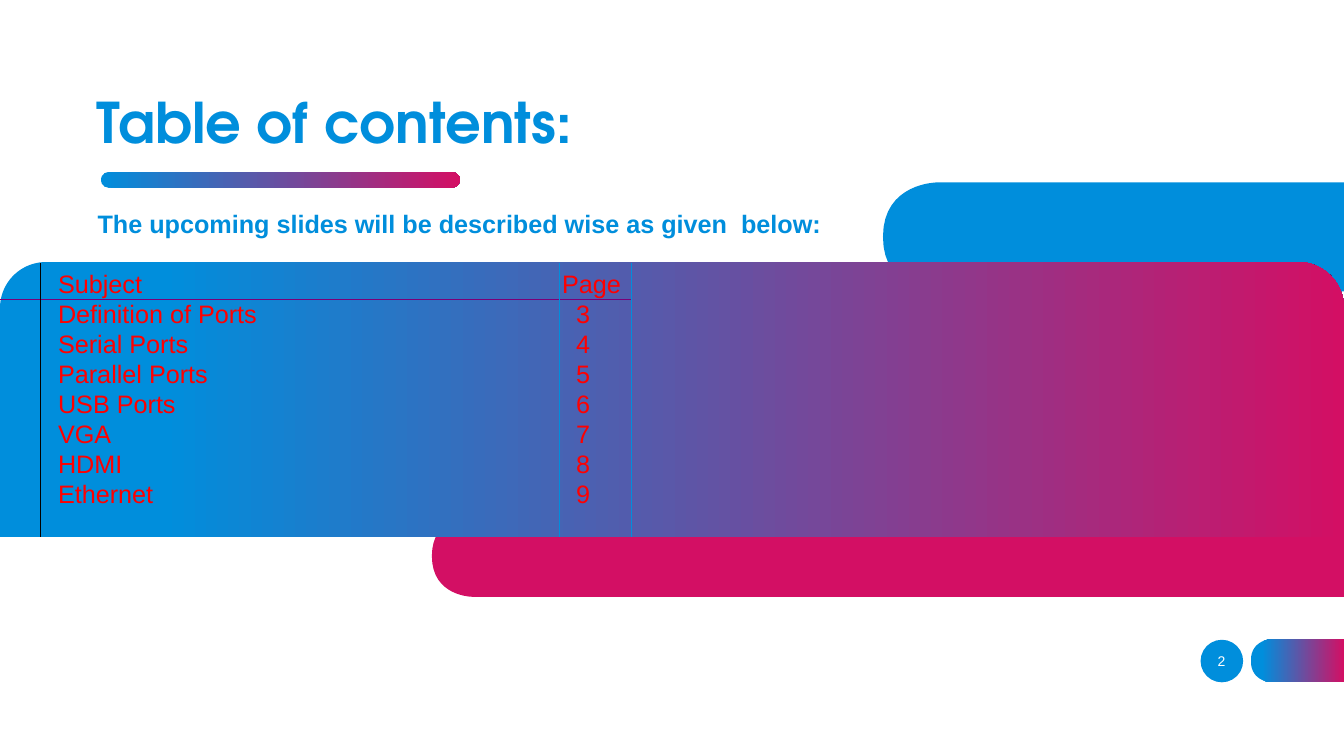
from lxml.etree import SubElement
from pptx import Presentation
from pptx.dml.color import RGBColor
from pptx.enum.shapes import MSO_CONNECTOR, MSO_SHAPE
from pptx.enum.text import MSO_ANCHOR, PP_ALIGN
from pptx.oxml.ns import qn
from pptx.util import Pt

BLUE = RGBColor(0x00, 0x8E, 0xDC)
PINK = RGBColor(0xD3, 0x0F, 0x64)
PURPLE = RGBColor(0x7A, 0x00, 0x78)
RED = RGBColor(0xFF, 0x00, 0x00)
BLACK = RGBColor(0x00, 0x00, 0x00)
WHITE = RGBColor(0xFF, 0xFF, 0xFF)

WIDTH, HEIGHT = 960, 540
BAND_TOP, BAND_HEIGHT = 187.2, 196.6
CURVE_STEPS = 16

CONTENTS = ["Definition of Ports", "Serial Ports", "Parallel Ports",
            "USB Ports", "VGA", "HDMI", "Ethernet"]
FIRST_PAGE = 3


class SlideBuilder:
    def __init__(self, slide, font="Arial"):
        self.slide = slide
        self.shapes = slide.shapes
        self.font = font

    def paint(self, s, color=None, start=0):
        """Fill with a colour, or with the blue-to-pink gradient from start."""
        s.shadow.inherit = False
        s.line.fill.background()
        if color is not None:
            s.fill.solid()
            s.fill.fore_color.rgb = color
            return s
        s.fill.gradient()
        s.fill.gradient_angle = 0
        stops = s.fill.gradient_stops
        for stop, rgb, position in zip(stops, (BLUE, PINK), (start, 1)):
            stop.color.rgb = rgb
            stop.position = position
        return s

    def shape(self, kind, x, y, w, h, color=None, start=0):
        s = self.shapes.add_shape(kind, Pt(x), Pt(y), Pt(w), Pt(h))
        return self.paint(s, color, start)

    def tab(self, x, y, h, color=None, start=0):
        """Draw a shape with a round left end that runs to the right edge."""
        r = h / 2
        steps = [i / CURVE_STEPS for i in range(CURVE_STEPS + 1)]
        curve = [(r * (1 - t) ** 2 * (1 + 2 * t), r * t ** 3) for t in steps]
        left = curve + [(dx, h - dy) for dx, dy in reversed(curve)]
        outline = [(Pt(x + dx), Pt(y + dy)) for dx, dy in left]
        outline += [(Pt(WIDTH), Pt(y + h))]
        builder = self.shapes.build_freeform(Pt(WIDTH), Pt(y))
        builder.add_line_segments(outline, close=True)
        return self.paint(builder.convert_to_shape(), color, start)

    def line(self, x1, y1, x2, y2, color):
        s = self.shapes.add_connector(
            MSO_CONNECTOR.STRAIGHT, Pt(x1), Pt(y1), Pt(x2), Pt(y2))
        s.line.color.rgb = color
        s.line.width = Pt(0.5)
        SubElement(s._element.spPr, qn("a:effectLst"))

    def text(self, x, y, w, h, lines, size, color, bold=False, font=None,
             align=PP_ALIGN.LEFT, anchor=MSO_ANCHOR.TOP, spacing=None,
             tab_stops=None):
        """Write one paragraph per line, with an optional tab stop for each."""
        tf = self.shapes.add_textbox(Pt(x), Pt(y), Pt(w), Pt(h)).text_frame
        tf.word_wrap = True
        tf.vertical_anchor = anchor
        for i, line in enumerate(lines):
            p = tf.add_paragraph() if i else tf.paragraphs[0]
            p.text = line
            p.alignment = align
            p.line_spacing = spacing
            if tab_stops:
                tabs = SubElement(p._p.get_or_add_pPr(), qn("a:tabLst"))
                SubElement(tabs, qn("a:tab"), pos=str(Pt(tab_stops[i])), algn="l")
            p.font.name = font or self.font
            p.font.size = Pt(size)
            p.font.bold = bold
            p.font.color.rgb = color


def main():
    prs = Presentation()
    prs.slide_width, prs.slide_height = Pt(WIDTH), Pt(HEIGHT)
    b = SlideBuilder(prs.slides.add_slide(prs.slide_layouts[6]))

    b.shape(MSO_SHAPE.OVAL, 857.6, 457, 30.4, 30.4, BLUE)
    b.tab(893.5, 456.5, 31, start=0.12)
    b.tab(630.7, 130.3, 77.8, BLUE)
    underline = b.shape(MSO_SHAPE.ROUNDED_RECTANGLE, 72, 123, 256.5, 11)
    underline.adjustments[0] = 0.5
    b.tab(308.5, 368, 58.3, PINK)

    b.text(62, 62.6, 720, 52, ["Table of contents:"], 40, BLUE, bold=True,
           font="TeX Gyre Adventor", anchor=MSO_ANCHOR.BOTTOM, spacing=0.9)
    b.text(62.6, 147.6, 538.6, 39,
           ["The upcoming slides will be described wise as given  below:"],
           18, BLUE, bold=True, spacing=0.9)
    b.text(851, 458, 43.2, 28.8, ["2"], 10, WHITE,
           align=PP_ALIGN.CENTER, anchor=MSO_ANCHOR.MIDDLE)

    b.shape(MSO_SHAPE.ROUND_2_SAME_RECTANGLE, 0, BAND_TOP, WIDTH, BAND_HEIGHT,
            start=0.12)
    rows = [f"{subject}\t{page}"
            for page, subject in enumerate(CONTENTS, FIRST_PAGE)]
    b.text(34.4, 188, 787, 204, ["Subject\tPage"] + rows, 18, RED,
           spacing=Pt(21.5), tab_stops=[360] + [370] * len(rows))

    b.line(0, 213.8, 451.2, 213.8, PURPLE)
    for x, color in ((451.2, BLUE), (28.8, BLACK), (399.6, BLUE)):
        b.line(x, 188, x, BAND_TOP + BAND_HEIGHT, color)

    prs.save("out.pptx")


if __name__ == "__main__":
    main()
